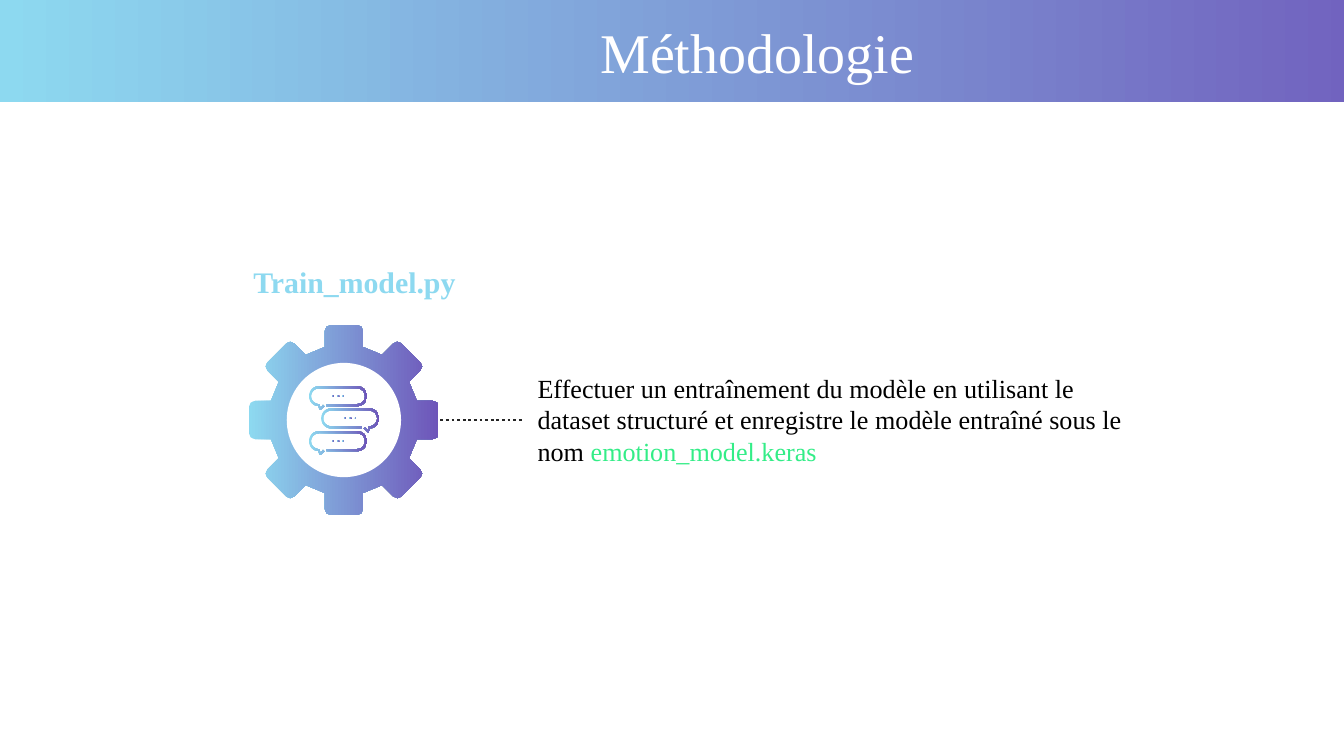
"""Build the methodology slide with its gear icon and training step."""
from math import cos, sin, pi, hypot

from lxml.etree import SubElement
from pptx import Presentation
from pptx.dml.color import RGBColor
from pptx.enum.dml import MSO_LINE as Dash
from pptx.enum.shapes import MSO_CONNECTOR as Link, MSO_SHAPE as Kind
from pptx.enum.text import MSO_ANCHOR as Anchor, MSO_AUTO_SIZE as Fit, PP_ALIGN as Align
from pptx.oxml.ns import qn
from pptx.util import Cm, Pt

FONT = "Times New Roman"
SKY, VIOLET, WHITE, INK = "8DD9F0", "6E55B9", "FFFFFF", "252525"
TITLE = [("Méthodologie", WHITE)]
LABEL = [("Train_model.py", SKY)]
BODY = [
    ("Effectuer un entraînement du modèle en utilisant le dataset structuré "
     "et enregistre le modèle entraîné sous le nom ", "000000"),
    ("emotion_model.keras", "33ED87"),
]
HUB_X, HUB_Y, HUB_R = 6.5, 7.94, 1.08
TEETH = 8
TOOTH = [(-0.36, 1.38), (-0.36, 1.68), (-0.33, 1.76), (-0.26, 1.79),
         (0.26, 1.79), (0.33, 1.76), (0.36, 1.68), (0.36, 1.38)]
BUBBLES = [(6.39, 7.49, 1), (6.62, 7.91, -1), (6.39, 8.34, 1)]
HALF, BEND, PEN = 0.36, 0.17, 0.04
DOT, GAP = 0.04, 0.1


def color(code):
    return RGBColor.from_string(code)


def blend(shape):
    fill = shape.fill
    fill.gradient()
    fill.gradient_angle = 0
    for stop, code, place in zip(fill.gradient_stops, (SKY, VIOLET), (0, 1)):
        stop.color.rgb = color(code)
        stop.position = place


def plain(shape):
    shape.shadow.inherit = False
    shape.line.fill.background()
    return shape


def write(shape, runs, size, align, anchor, bold=False, pad=0.25):
    frame = shape.text_frame
    frame.word_wrap = True
    frame.auto_size = Fit.NONE
    frame.vertical_anchor = anchor
    frame.margin_left = frame.margin_right = Cm(0.25)
    frame.margin_top = frame.margin_bottom = Cm(pad)
    para = frame.paragraphs[0]
    para.alignment = align
    for text, code in runs:
        run = para.add_run()
        run.text = text
        font = run.font
        font.name, font.size, font.bold = FONT, Pt(size), bold
        font.color.rgb = color(code)


def outline(shapes, points):
    start, *rest = [(Cm(x), Cm(y)) for x, y in points]
    pen = shapes.build_freeform(*start)
    pen.add_line_segments(rest)
    blend(plain(pen.convert_to_shape()))


def oval(shapes, x, y, r):
    return plain(shapes.add_shape(Kind.OVAL, Cm(x - r), Cm(y - r), Cm(2 * r), Cm(2 * r)))


def gear():
    points = []
    for k in range(TEETH):
        turn = 2 * pi * k / TEETH
        for x, y in TOOTH:
            points.append((HUB_X + x * cos(turn) + y * sin(turn),
                           HUB_Y + x * sin(turn) - y * cos(turn)))
    return points


def arc(x, start):
    steps = [start - pi * k / 12 for k in range(13)]
    return [(x + BEND * cos(a), BEND * sin(a)) for a in steps]


def stroke(points):
    """Return the closed band that follows an open line."""
    left, right = [], []
    for k, (x, y) in enumerate(points):
        ax, ay = points[max(k - 1, 0)]
        bx, by = points[min(k + 1, len(points) - 1)]
        span = hypot(bx - ax, by - ay)
        dx, dy = (ay - by) / span * PEN / 2, (bx - ax) / span * PEN / 2
        left.append((x + dx, y + dy))
        right.append((x - dx, y - dy))
    return left + right[::-1]


def bubble(shapes, x, y, side):
    line = [(-0.22, BEND), *arc(HALF, pi / 2), *arc(-HALF, -pi / 2),
            (-0.34, 0.25), (-0.27, 0.18)]
    outline(shapes, [(x + side * px, y + py) for px, py in stroke(line)])
    for k in (-1, 0, 1):
        blend(oval(shapes, x + k * GAP, y, DOT / 2))


def main():
    deck = Presentation()
    deck.slide_width, deck.slide_height = Cm(25.4), Cm(14.29)
    slide = deck.slides.add_slide(deck.slide_layouts[5])
    shapes = slide.shapes

    title = shapes.title
    title.left, title.top, title.width, title.height = Cm(0), Cm(0), Cm(28.63), Cm(1.93)
    blend(title)
    write(title, TITLE, 30, Align.CENTER, Anchor.MIDDLE)

    label = shapes.add_textbox(Cm(4.45), Cm(4.14), Cm(4.5), Cm(2.36))
    write(label, LABEL, 16, Align.CENTER, Anchor.MIDDLE, bold=True)
    body = shapes.add_textbox(Cm(9.91), Cm(6.91), Cm(11.71), Cm(2.06))
    write(body, BODY, 14, Align.LEFT, Anchor.TOP, pad=0.13)

    link = shapes.add_connector(Link.STRAIGHT, Cm(HUB_X + HUB_R), Cm(HUB_Y),
                                Cm(9.91), Cm(HUB_Y))
    link.end_connect(body, 1)
    link.line.color.rgb = color(INK)
    link.line.width = Pt(1.5)
    link.line.dash_style = Dash.ROUND_DOT
    SubElement(link._element.spPr, qn("a:effectLst"))

    outline(shapes, gear())
    hub = oval(shapes, HUB_X, HUB_Y, HUB_R)
    hub.fill.solid()
    hub.fill.fore_color.rgb = color(WHITE)
    for x, y, side in BUBBLES:
        bubble(shapes, x, y, side)

    deck.save("out.pptx")


if __name__ == "__main__":
    main()
